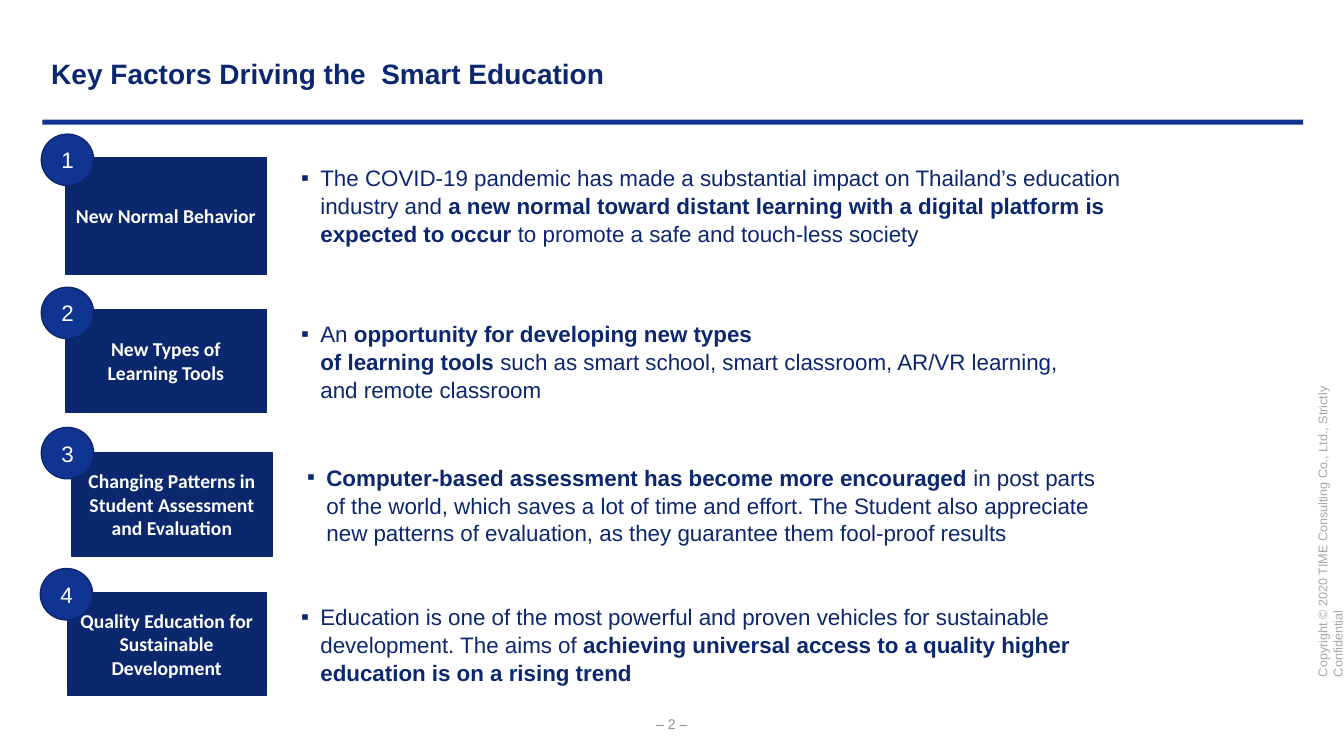
"""Build the slide on the key factors driving smart education."""
from lxml.etree import SubElement
from pptx import Presentation
from pptx.dml.color import RGBColor
from pptx.enum.shapes import MSO_SHAPE as Shape
from pptx.enum.text import MSO_ANCHOR as Anchor, PP_ALIGN as Align
from pptx.oxml.ns import qn
from pptx.util import Pt

NAVY, BLUE, RIM, WHITE = "0B276E", "0F3492", "0B266C", "FFFFFF"
PAGE_GREY, NOTICE_GREY = "8C8C8C", "A6A6A6"


def color(value):
    return RGBColor.from_string(value)


class Slide:
    font = "Arial"
    label_font = "Calibri"
    body_size = 16
    label_size = 14
    indent = 13.7

    def __init__(self, page):
        self.page = page
        self.target = page.shapes

    def start_group(self):
        self.target = self.page.shapes.add_group_shape().shapes

    def add_spans(self, box, spans, size, ink, align=Align.LEFT,
                  anchor=Anchor.TOP, font=None, bullet=False):
        frame = box.text_frame
        frame.word_wrap = True
        frame.vertical_anchor = anchor
        para = frame.paragraphs[0]
        para.alignment = align
        if bullet:
            para.line_spacing = 1.04
            props = para._p.get_or_add_pPr()
            props.set("marL", str(Pt(self.indent)))
            props.set("indent", str(-Pt(self.indent)))
            SubElement(props, qn("a:buFont"), typeface=self.font)
            SubElement(props, qn("a:buChar"), char="▪")
        for text, bold in spans:
            for number, line in enumerate(text.split("\n")):
                if number:
                    para.add_line_break()
                span = para.add_run()
                span.text = line
                span.font.name = font or self.font
                span.font.size = Pt(size)
                span.font.bold = bold
                span.font.color.rgb = color(ink)

    def text(self, left, top, width, height, words, size, ink, bold=False,
             turn=0, **style):
        box = self.target.add_textbox(Pt(left), Pt(top), Pt(width), Pt(height))
        box.rotation = turn
        self.add_spans(box, [(words, bold)], size, ink, **style)

    def shape(self, kind, left, top, width, height, fill, line=None):
        box = self.target.add_shape(kind, Pt(left), Pt(top), Pt(width), Pt(height))
        box.shadow.inherit = False
        box.fill.solid()
        box.fill.fore_color.rgb = color(fill)
        if line:
            box.line.color.rgb = color(line)
            box.line.width = Pt(1)
        else:
            box.line.fill.background()
        return box

    def label(self, left, top, width, height, words):
        box = self.shape(Shape.RECTANGLE, left, top, width, height, NAVY, NAVY)
        self.add_spans(box, [(words, True)], self.label_size, WHITE,
                       Align.CENTER, Anchor.MIDDLE, self.label_font)

    def detail(self, left, top, width, height, spans, anchor):
        box = self.shape(Shape.RECTANGLE, left, top, width, height, WHITE, WHITE)
        self.add_spans(box, spans, self.body_size, NAVY, anchor=anchor, bullet=True)

    def badge(self, left, top, number):
        box = self.shape(Shape.OVAL, left, top, 37.4, 36.7, BLUE, RIM)
        self.add_spans(box, [(str(number), False)], self.body_size, WHITE,
                       Align.CENTER, Anchor.MIDDLE)


FACTORS = [
    (46.8, 143.5, 113, 82.8, 208.1, 617, 29.5, 95.8, Anchor.TOP,
     "New Normal Behavior",
     [("The COVID-19 pandemic has made a substantial impact on Thailand’s "
       "education industry and ", False),
      ("a new normal toward distant learning with a digital platform is "
       "expected to occur ", True),
      ("to promote a safe and touch-less society", False)]),
    (46.8, 143.5, 221, 73.4, 208.1, 581, 29.5, 205.2, Anchor.MIDDLE,
     "New Types of Learning Tools",
     [("An ", False),
      ("opportunity for developing new types \nof learning tools", True),
      (" such as smart school, smart classroom, AR/VR learning, and remote "
       "classroom", False)]),
    (51.1, 143.5, 323.7, 73.4, 212.4, 581, 29.5, 305.3, Anchor.MIDDLE,
     "Changing Patterns in Student Assessment and Evaluation",
     [("Computer-based assessment has become more encouraged ", True),
      ("in post parts of the world, which saves a lot of time and effort. The "
       "Student also appreciate new patterns of evaluation, as they guarantee "
       "them fool-proof results", False)]),
    (48.2, 141.8, 423.4, 73.4, 208.1, 573.8, 28.8, 406.1, Anchor.MIDDLE,
     "Quality Education for Sustainable Development",
     [("Education is one of the most powerful and proven vehicles for "
       "sustainable development. The aims of ", False),
      ("achieving universal access to a quality higher education is on a "
       "rising trend", True)]),
]


def main():
    deck = Presentation()
    deck.slide_width, deck.slide_height = Pt(960), Pt(540)
    slide = Slide(deck.slides.add_slide(deck.slide_layouts[6]))

    slide.text(444.2, 509.8, 71.3, 15.1, "– 2 –", 10, PAGE_GREY,
               align=Align.CENTER, anchor=Anchor.MIDDLE)
    slide.text(817.9, 355, 253.4, 18,
               "Copyright © 2020 TIME Consulting Co., Ltd., Strictly Confidential",
               9, NOTICE_GREY, turn=270)
    slide.shape(Shape.RECTANGLE, 30.2, 85.4, 900.7, 3.6, BLUE)
    slide.text(29.5, 36.7, 581.8, 31.7,
               "Key Factors Driving the  Smart Education", 20, NAVY, bold=True)

    for number, factor in enumerate(FACTORS, 1):
        (left, width, top, height, detail_left, detail_width,
         badge_left, badge_top, anchor, name, spans) = factor
        slide.start_group()
        slide.label(left, top, width, height, name)
        slide.detail(detail_left, top, detail_width, height, spans, anchor)
        slide.badge(badge_left, badge_top, number)

    deck.save("out.pptx")


if __name__ == "__main__":
    main()
